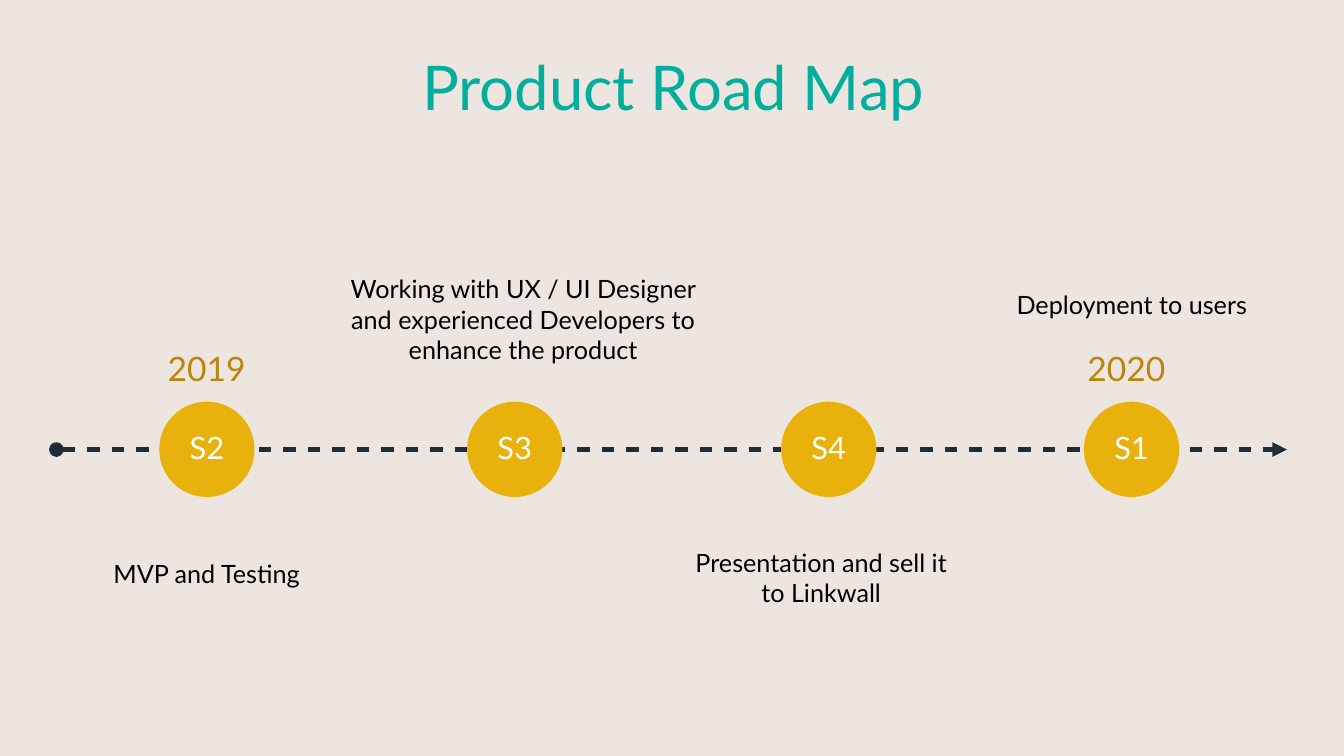
"""Build the product road map slide: a dashed timeline with four stages."""
from lxml.etree import SubElement
from pptx import Presentation
from pptx.dml.color import RGBColor
from pptx.enum.shapes import MSO_CONNECTOR, MSO_SHAPE
from pptx.enum.text import PP_ALIGN
from pptx.oxml.ns import qn
from pptx.util import Inches, Pt


def color(hue):
    return RGBColor.from_string(hue)


def write(text, left, top, width, height, size=36, hue="000000", inset=0.1):
    box = slide.shapes.add_textbox(Inches(left), Inches(top), Inches(width), Inches(height))
    frame = box.text_frame
    frame.word_wrap = True
    frame.margin_left = frame.margin_right = Inches(inset)
    frame.text = text
    for para in frame.paragraphs:
        para.alignment = PP_ALIGN.CENTER
        para.font.name = "Lato"
        para.font.size = Pt(size)
        para.font.color.rgb = color(hue)


deck = Presentation()
deck.slide_width, deck.slide_height = Inches(26.67), Inches(15)
slide = deck.slides.add_slide(deck.slide_layouts[6])
slide.background.fill.solid()
slide.background.fill.fore_color.rgb = color("EDE6E0")

axis = 8.92
line = slide.shapes.add_connector(
    MSO_CONNECTOR.STRAIGHT, Inches(1.12), Inches(axis), Inches(25.54), Inches(axis))
line.line.color.rgb = color("1F2D38")
line.line.width = Pt(7)
stroke = line.line._get_or_add_ln()
dash = SubElement(stroke, qn("a:custDash"))
SubElement(dash, qn("a:ds"), d="250000", sp="250000")
SubElement(stroke, qn("a:round"))
SubElement(stroke, qn("a:headEnd"), type="oval")
SubElement(stroke, qn("a:tailEnd"), type="triangle")
SubElement(line._element.spPr, qn("a:effectLst"))

size = 1.89
for label, left in [("S2", 3.16), ("S3", 9.27), ("S4", 15.5), ("S1", 21.51)]:
    dot = slide.shapes.add_shape(
        MSO_SHAPE.OVAL, Inches(left), Inches(7.97), Inches(size), Inches(size))
    dot.shadow.inherit = False
    dot.fill.solid()
    dot.fill.fore_color.rgb = color("E8B10C")
    dot.line.fill.background()
    write(label, left + 0.54, 8.45, 0.81, 1.29, size=44, hue="FFFFFF", inset=0.05)

for year, left in [("2019", 2.39), ("2020", 20.64)]:
    write(year, left, 6.86, 3.42, 0.91, size=48, hue="BB850B")

for text, left, top, width, height in [
    ("MVP and Testing", 0.57, 11.03, 7.06, 0.71),
    ("Working with UX / UI Designer and experienced Developers to enhance the product",
     6.69, 5.38, 7.38, 1.92),
    ("Presentation and sell it\nto Linkwall", 13.33, 10.81, 5.93, 1.31),
    ("Deployment to users", 19.03, 5.7, 6.86, 0.71),
]:
    write(text, left, top, width, height)

write("Product Road Map", 2.21, 0.92, 22.3, 1.29, size=88, hue="03AE9C", inset=0.05)

deck.save("out.pptx")
